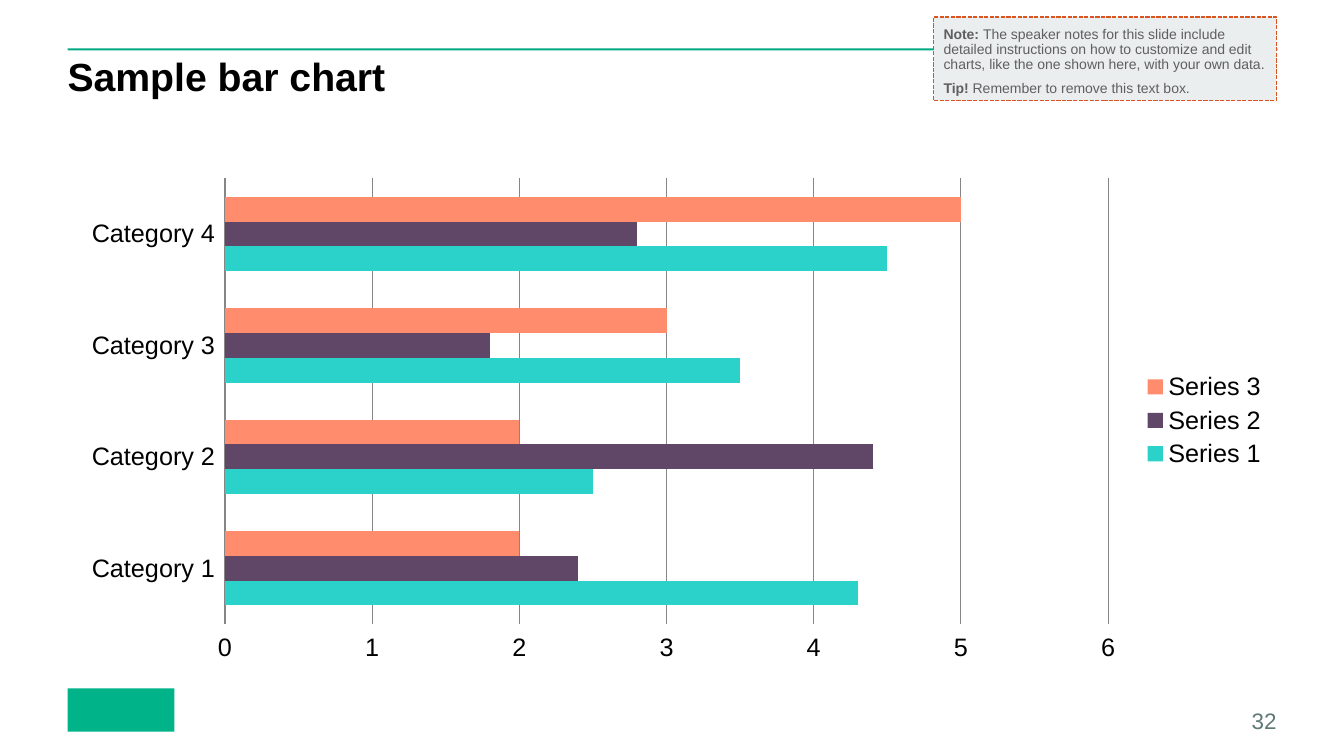
"""Build the sample bar chart slide."""
import dataclasses
import typing

import pptx
import pptx.chart.data
import pptx.dml.color
import pptx.enum.chart
import pptx.enum.dml
import pptx.enum.shapes
import pptx.enum.text
import pptx.util

FONT = "Arial"
BLACK = "000000"
LEFT = 0.67
WIDTH = 12


@dataclasses.dataclass(frozen=True)
class Area:
    left: float
    top: float
    width: float
    height: float

    def lengths(self) -> list[pptx.util.Length]:
        return [pptx.util.Inches(length) for length in dataclasses.astuple(self)]


@dataclasses.dataclass(frozen=True)
class Block:
    area: Area
    fill: str
    line: str | None = None


@dataclasses.dataclass(frozen=True)
class Series:
    name: str
    values: tuple[float, ...]
    color: str


RULE = Block(Area(LEFT, 0.48, WIDTH, 0.02), "00A982")
EMBLEM = Block(Area(LEFT, 6.83, 1.06, 0.43), "00B388")
NOTE = Block(Area(9.26, 0.17, 3.4, 0.83), "EAEEEF", "D9541E")
TITLE_AREA = Area(LEFT, 0.57, WIDTH, 0.93)
CHART_AREA = Area(LEFT, 1.67, WIDTH, 5)
NUMBER_AREA = Area(12.08, 7.03, 0.58, 0.25)

CATEGORIES = [f"Category {number}" for number in range(1, 5)]
SERIES = [
    Series("Series 1", (4.3, 2.5, 3.5, 4.5), "2AD2C9"),
    Series("Series 2", (2.4, 4.4, 1.8, 2.8), "614767"),
    Series("Series 3", (2, 2, 3, 5), "FF8D6D"),
]
NOTE_TEXT = [
    [
        ("Note: ", True),
        (
            "The speaker notes for this slide include detailed instructions on how to "
            "customize and edit charts, like the one shown here, with your own data.",
            False,
        ),
    ],
    [("Tip! ", True), ("Remember to remove this text box.", False)],
]


def rgb(color: str) -> pptx.dml.color.RGBColor:
    return pptx.dml.color.RGBColor.from_string(color)


def add_block(page: typing.Any, block: Block) -> typing.Any:
    shape = page.shapes.add_shape(
        pptx.enum.shapes.MSO_SHAPE.RECTANGLE, *block.area.lengths()
    )
    shape.shadow.inherit = False
    shape.fill.solid()
    shape.fill.fore_color.rgb = rgb(block.fill)
    if block.line:
        shape.line.color.rgb = rgb(block.line)
        shape.line.width = pptx.util.Pt(1)
        shape.line.dash_style = pptx.enum.dml.MSO_LINE.SQUARE_DOT
    else:
        shape.line.fill.background()
    return shape


def write_text(
    box: typing.Any,
    paragraphs: list[list[tuple[str, bool]]],
    *,
    size: float,
    color: str = BLACK,
    inset: float = 0,
    space_before: float = 0,
    line_spacing: float = 1,
    align: typing.Any = pptx.enum.text.PP_ALIGN.LEFT,
    anchor: typing.Any = pptx.enum.text.MSO_ANCHOR.TOP,
) -> None:
    frame = box.text_frame
    frame.word_wrap = True
    frame.vertical_anchor = anchor
    frame.margin_left = frame.margin_right = pptx.util.Inches(inset)
    frame.margin_top = frame.margin_bottom = pptx.util.Inches(inset)
    for index, spans in enumerate(paragraphs):
        para = frame.add_paragraph() if index else frame.paragraphs[0]
        para.alignment = align
        para.line_spacing = line_spacing
        para.space_before = pptx.util.Pt(space_before)
        for text, bold in spans:
            span = para.add_run()
            span.text = text
            span.font.name = FONT
            span.font.size = pptx.util.Pt(size)
            span.font.bold = bold
            span.font.color.rgb = rgb(color)


def add_bar_chart(page: typing.Any) -> None:
    data = pptx.chart.data.CategoryChartData()
    data.categories = CATEGORIES
    for series in SERIES:
        data.add_series(series.name, series.values)
    chart = page.shapes.add_chart(
        pptx.enum.chart.XL_CHART_TYPE.BAR_CLUSTERED, *CHART_AREA.lengths(), data
    ).chart
    chart.has_title = False
    chart.font.name = FONT
    chart.font.size = pptx.util.Pt(18)
    chart.font.color.rgb = rgb(BLACK)
    chart.has_legend = True
    chart.legend.position = pptx.enum.chart.XL_LEGEND_POSITION.RIGHT
    chart.legend.include_in_layout = False
    for axis in (chart.category_axis, chart.value_axis):
        axis.format.line.fill.background()
    chart.category_axis.has_major_gridlines = False
    chart.value_axis.has_major_gridlines = True
    grid = chart.value_axis.major_gridlines.format.line
    grid.color.rgb = rgb("868686")
    grid.width = pptx.util.Pt(0.75)
    plot = chart.plots[0]
    plot.gap_width = 150
    plot.vary_by_categories = False
    for bars, series in zip(plot.series, SERIES):
        bars.format.fill.solid()
        bars.format.fill.fore_color.rgb = rgb(series.color)


def main() -> None:
    deck = pptx.Presentation()
    deck.slide_width = pptx.util.Inches(13.33)
    deck.slide_height = pptx.util.Inches(7.5)
    page = deck.slides.add_slide(deck.slide_layouts[6])
    add_block(page, RULE)
    add_block(page, EMBLEM)
    title = page.shapes.add_textbox(*TITLE_AREA.lengths())
    write_text(title, [[("Sample bar chart", True)]], size=28, line_spacing=0.9)
    add_bar_chart(page)
    number = page.shapes.add_textbox(*NUMBER_AREA.lengths())
    write_text(
        number,
        [[("32", False)]],
        size=16,
        color="5F7A76",
        align=pptx.enum.text.PP_ALIGN.RIGHT,
        anchor=pptx.enum.text.MSO_ANCHOR.BOTTOM,
    )
    note = add_block(page, NOTE)
    write_text(
        note,
        NOTE_TEXT,
        size=10,
        color="5F5F5F",
        inset=0.1,
        space_before=6,
        line_spacing=0.9,
    )
    deck.save("out.pptx")


if __name__ == "__main__":
    main()
